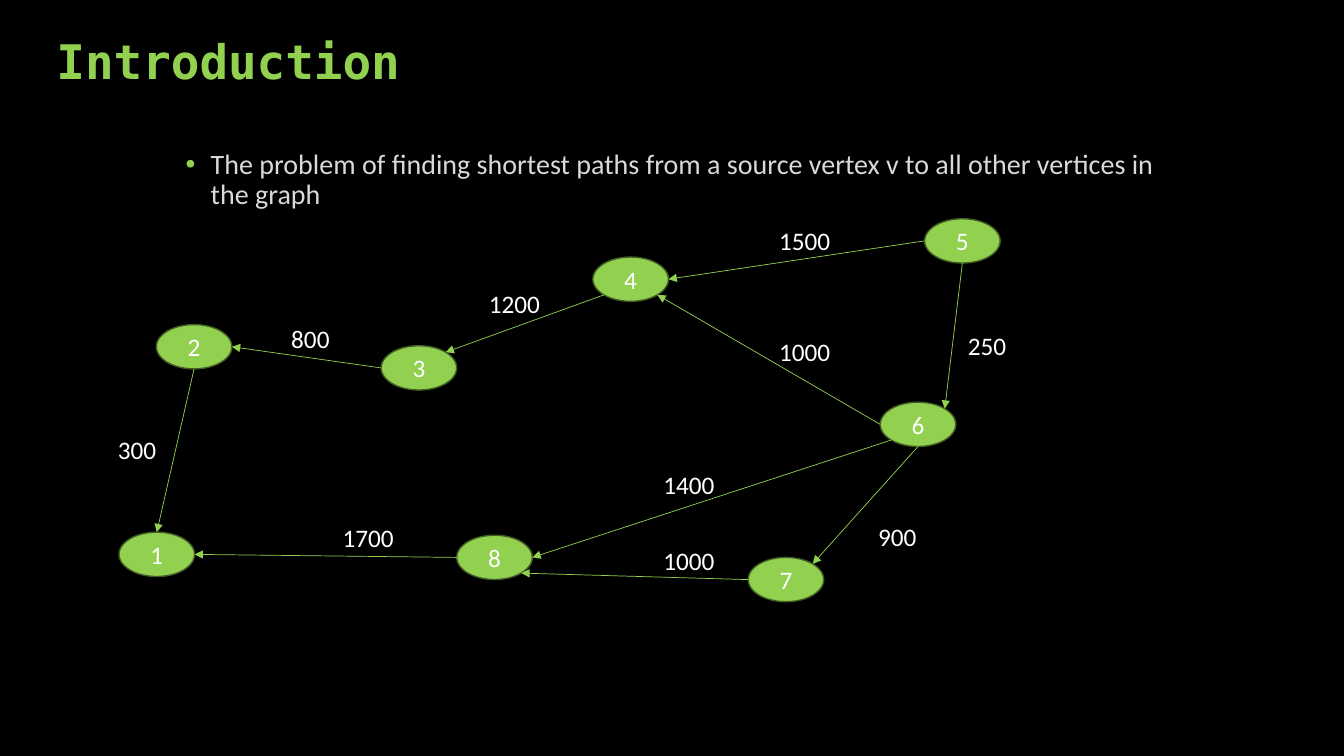
from math import cos, radians, sin

from lxml.etree import SubElement
from pptx import Presentation
from pptx.dml.color import RGBColor
from pptx.enum.shapes import MSO_CONNECTOR, MSO_SHAPE
from pptx.enum.text import MSO_ANCHOR, MSO_AUTO_SIZE, PP_ALIGN
from pptx.oxml.ns import qn
from pptx.util import Inches, Pt

COLORS = {
    "background": "000000",
    "green": "92D050",
    "outline": "405B23",
    "body": "D9D9D9",
    "white": "FFFFFF",
}
NODE_W, NODE_H = 0.75, 0.44
# Connection sites of an ellipse, counter-clockwise from the top
TOP, TOP_LEFT, LEFT, BOTTOM_LEFT, BOTTOM, BOTTOM_RIGHT, RIGHT, TOP_RIGHT = range(8)

NODES = {  # vertex: left, top
    1: (1.18, 5.28), 2: (1.55, 3.22), 3: (3.78, 3.43), 4: (5.88, 2.55),
    5: (9.17, 2.17), 6: (8.73, 3.99), 7: (7.42, 5.53), 8: (4.53, 5.31),
}
EDGES = [  # source, site, target, site, weight, label left, label top
    (5, BOTTOM, 6, TOP_RIGHT, 250, 9.5, 3.23),
    (5, LEFT, 4, RIGHT, 1500, 7.63, 2.19),
    (6, LEFT, 4, BOTTOM_RIGHT, 1000, 7.63, 3.29),
    (6, BOTTOM, 7, TOP_RIGHT, 900, 8.61, 5.12),
    (6, BOTTOM_LEFT, 8, RIGHT, 1400, 6.48, 4.61),
    (4, BOTTOM_LEFT, 3, TOP_RIGHT, 1200, 4.75, 2.81),
    (3, LEFT, 2, RIGHT, 800, 2.79, 3.16),
    (2, BOTTOM, 1, TOP, 300, 1.07, 4.26),
    (8, LEFT, 1, RIGHT, 1700, 3.3, 5.13),
    (7, LEFT, 8, BOTTOM_RIGHT, 1000, 6.48, 5.36),
]


def write(tf, text, size=18, font="Calibri", color="white", bold=False,
          align=PP_ALIGN.LEFT, anchor=MSO_ANCHOR.TOP, fit=MSO_AUTO_SIZE.NONE):
    tf.word_wrap = True
    tf.auto_size = fit
    tf.vertical_anchor = anchor
    p = tf.paragraphs[0]
    p.alignment = align
    r = p.add_run()
    r.text = text
    r.font.size = Pt(size)
    r.font.name = font
    r.font.bold = bold
    r.font.color.rgb = RGBColor.from_string(COLORS[color])
    return p


def site_point(node, site):
    left, top = NODES[node]
    angle = radians(90 + 45 * site)
    x = left + NODE_W / 2 * (1 + cos(angle))
    y = top + NODE_H / 2 * (1 - sin(angle))
    return Inches(x), Inches(y)


prs = Presentation()
prs.slide_width, prs.slide_height = Inches(13.33), Inches(7.5)
s = prs.slides.add_slide(prs.slide_layouts[1])
s.background.fill.solid()
s.background.fill.fore_color.rgb = RGBColor.from_string(COLORS["background"])

# Title and body
title, body = s.placeholders
title.left, title.top, title.width, title.height = map(Inches, (0.46, 0.16, 5.42, 0.78))
p = write(title.text_frame, "Introduction", size=34, font="DejaVu Sans Mono",
          color="green", bold=True, anchor=MSO_ANCHOR.BOTTOM)
p.line_spacing = 0.9

body.left, body.top, body.width, body.height = map(Inches, (1.74, 1.44, 10, 4.67))
p = write(body.text_frame, "The problem of finding shortest paths from a source vertex v "
          "to all other vertices in the graph", size=20, color="body")
p.line_spacing = 0.9
p.space_before = Pt(18)
pPr = p._p.get_or_add_pPr()
pPr.set("marL", str(Inches(0.25)))
pPr.set("indent", str(Inches(-0.25)))
SubElement(SubElement(pPr, qn("a:buClr")), qn("a:srgbClr"), val=COLORS["green"])
SubElement(pPr, qn("a:buFont"), typeface="Arial")
SubElement(pPr, qn("a:buChar"), char="•")

# Vertices
ellipses = {}
for node, (left, top) in NODES.items():
    sp = s.shapes.add_shape(MSO_SHAPE.OVAL, Inches(left), Inches(top),
                            Inches(NODE_W), Inches(NODE_H))
    sp.shadow.inherit = False
    sp.fill.solid()
    sp.fill.fore_color.rgb = RGBColor.from_string(COLORS["green"])
    sp.line.color.rgb = RGBColor.from_string(COLORS["outline"])
    sp.line.width = Pt(1)
    write(sp.text_frame, str(node), align=PP_ALIGN.CENTER, anchor=MSO_ANCHOR.MIDDLE)
    ellipses[node] = sp

# Weighted edges, glued to the ellipse sites
for source, start, target, end, weight, left, top in EDGES:
    edge = s.shapes.add_connector(MSO_CONNECTOR.STRAIGHT,
                                  *site_point(source, start), *site_point(target, end))
    edge.line.color.rgb = RGBColor.from_string(COLORS["green"])
    edge.line.width = Pt(0.5)
    SubElement(edge.line._get_or_add_ln(), qn("a:tailEnd"), type="triangle")
    SubElement(edge._element.spPr, qn("a:effectLst"))
    glue = edge._element.find(".//" + qn("p:cNvCxnSpPr"))
    for tag, node, site in (("a:stCxn", source, start), ("a:endCxn", target, end)):
        SubElement(glue, qn(tag), id=str(ellipses[node].shape_id), idx=str(site))

    label = s.shapes.add_textbox(Inches(left), Inches(top), Inches(0.79), Inches(0.27))
    write(label.text_frame, str(weight), fit=MSO_AUTO_SIZE.SHAPE_TO_FIT_TEXT)

prs.save("out.pptx")
